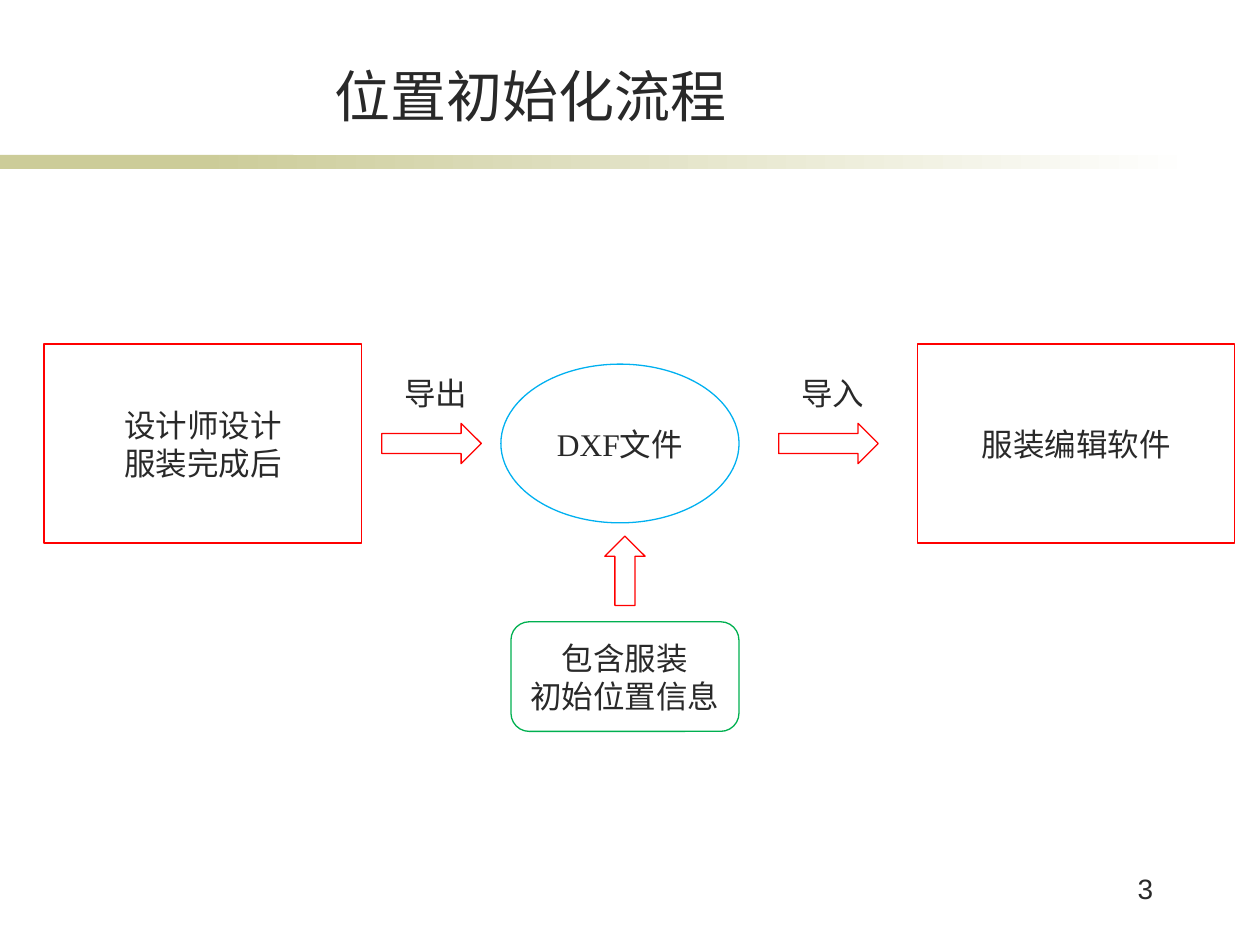
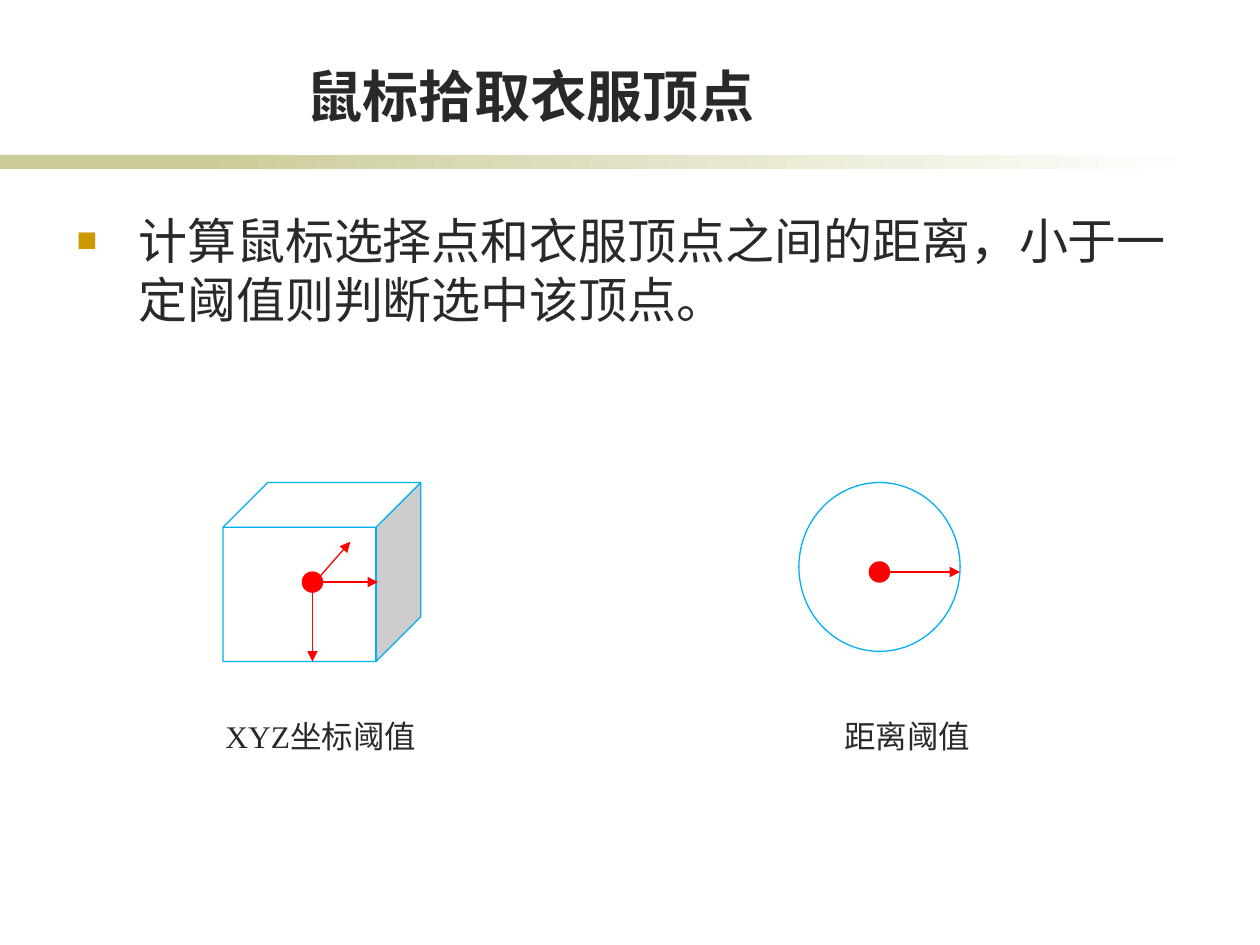
from lxml import etree
from pptx import Presentation
from pptx.dml.color import RGBColor
from pptx.enum.shapes import MSO_CONNECTOR, MSO_SHAPE as Shape
from pptx.enum.text import MSO_ANCHOR as Anchor, PP_ALIGN as Align
from pptx.oxml.ns import qn
from pptx.util import Inches, Pt

WIDTH, HEIGHT = 10, 7.5
INK = RGBColor(0x29, 0x29, 0x29)
WHITE = RGBColor(0xFF, 0xFF, 0xFF)
RED = RGBColor(0xFF, 0x00, 0x00)
BLUE = RGBColor(0x00, 0xB0, 0xF0)
GREEN = RGBColor(0x00, 0xB0, 0x50)
SAGE = RGBColor(0xCC, 0xCC, 0x99)
BULLET_HEX = "CC9900"

TITLE = {"name": "Arial", "size": Pt(32)}
BODY = {"name": "Arial", "size": Pt(28)}
NUMBER = {"name": "Arial", "size": Pt(16)}
LABEL = {"name": "Times New Roman", "size": Pt(18)}

# Flow slide: every step is centred on a point
FLOW_TITLE = "位置初始化流程"
FLOW_Y = 3.52
FLOW_STEPS = [  # lines, outline, centre, size, colour
    (["设计师设计", "服装完成后"], Shape.RECTANGLE, (1.61, FLOW_Y), (2.52, 1.58), RED),
    (["DXF文件"], Shape.OVAL, (4.92, FLOW_Y), (1.89, 1.26), BLUE),
    (["服装编辑软件"], Shape.RECTANGLE, (8.54, FLOW_Y), (2.52, 1.58), RED),
    (["包含服装", "初始位置信息"], Shape.ROUNDED_RECTANGLE, (4.96, 5.37), (1.81, 0.87), GREEN),
]
FLOW_ARROWS = ["导出", "导入"]
ARROW_LEFT, ARROW_PITCH, ARROW_SIZE = 3.03, 3.15, (0.79, 0.32)
UP_ARROW_CENTRE, UP_ARROW_SIZE = (4.96, 4.53), (0.32, 0.55)
PAGE_NUMBER = "3"

# Picking slide: each figure is a body, a picked point and its reach arrows
PICK_TITLE = "鼠标拾取衣服顶点"
PICK_TEXT = "计算鼠标选择点和衣服顶点之间的距离，小于一定阈值则判断选中该顶点。"
FIGURE_TOP, CAPTION_TOP, DOT = 3.83, 5.64, 0.16
FIGURES = [
    {"outline": Shape.CUBE, "left": 1.77, "size": (1.57, 1.42), "dot": (2.48, 4.62),
     "caption": ("XYZ坐标阈值", 1.69),
     "arrows": [((2.56, 4.62), (3, 4.62)), ((2.48, 4.64), (2.48, 5.25)),
                ((2.5, 4.62), (2.78, 4.3))]},
    {"outline": Shape.OVAL, "left": 6.34, "size": (1.28, 1.34), "dot": (6.98, 4.54),
     "caption": ("距离阈值", 6.6),
     "arrows": [((6.98, 4.54), (7.62, 4.54))]},
]


def write(shape, lines, font, align=Align.LEFT, anchor=Anchor.TOP, wrap=True):
    frame = shape.text_frame
    for name, value in {"word_wrap": wrap, "vertical_anchor": anchor}.items():
        setattr(frame, name, value)
    frame.text = "\n".join(lines)
    for para in frame.paragraphs:
        para.alignment = align
        for span in para.runs:
            for name, value in font.items():
                setattr(span.font, name, value)
            span.font.color.rgb = INK
    return frame


def add_text(slide, lines, at, font, **layout):
    box = slide.shapes.add_textbox(*map(Inches, at))
    return write(box, lines, font, **layout)


def add_outline(slide, kind, at, fill=WHITE, line=None):
    shape = slide.shapes.add_shape(kind, *map(Inches, at))
    shape.shadow.inherit = False
    shape.fill.solid()
    shape.fill.fore_color.rgb = fill
    if line is None:
        shape.line.fill.background()
    else:
        shape.line.color.rgb = line
        shape.line.width = Pt(0.75)
    return shape


def around(centre, size):
    return (centre[0] - size[0] / 2, centre[1] - size[1] / 2, *size)


def add_arrow(slide, start, end):
    arrow = slide.shapes.add_connector(
        MSO_CONNECTOR.STRAIGHT, *map(Inches, (*start, *end)))
    arrow.line.color.rgb = RED
    arrow.line.width = Pt(0.75)
    etree.SubElement(arrow.line._get_or_add_ln(), qn("a:tailEnd"), type="triangle")
    etree.SubElement(arrow._element.spPr, qn("a:effectLst"))


def add_bullet(para):
    props = para._p.get_or_add_pPr()
    indent = Inches(0.49)
    props.set("marL", str(indent))
    props.set("indent", str(-indent))
    colour = etree.SubElement(props, qn("a:buClr"))
    etree.SubElement(colour, qn("a:srgbClr"), val=BULLET_HEX)
    etree.SubElement(props, qn("a:buSzPct"), val="70000")
    etree.SubElement(props, qn("a:buFont"), typeface="Arial")
    etree.SubElement(props, qn("a:buChar"), char="■")


def add_page(deck, title, bold=False):
    """Add a slide with the shared fading band and title."""
    slide = deck.slides.add_slide(deck.slide_layouts[6])
    add_outline(slide, Shape.RECTANGLE, (0, 1.23, 2.33, 0.11), SAGE)
    fade = add_outline(slide, Shape.RECTANGLE, (1.58, 1.23, 7.92, 0.11)).fill
    fade.gradient()
    fade.gradient_angle = 0
    for stop, colour, position in zip(fade.gradient_stops, (SAGE, WHITE), (0, 1)):
        stop.color.rgb = colour
        stop.position = position
    add_text(slide, [title], (1.14, 0.44, 6.14, 0.63), {**TITLE, "bold": bold},
             align=Align.CENTER, anchor=Anchor.BOTTOM)
    return slide


def build_flow(deck):
    slide = add_page(deck, FLOW_TITLE)
    for lines, kind, centre, size, colour in FLOW_STEPS:
        step = add_outline(slide, kind, around(centre, size), line=colour)
        write(step, lines, LABEL, align=Align.CENTER, anchor=Anchor.MIDDLE, wrap=False)
    for index, label in enumerate(FLOW_ARROWS):
        left = ARROW_LEFT + index * ARROW_PITCH
        at = (left, FLOW_Y - ARROW_SIZE[1] / 2, *ARROW_SIZE)
        add_outline(slide, Shape.RIGHT_ARROW, at, line=RED)
        add_text(slide, [label], (left + 0.08, 2.92, 0.95, 0.4), LABEL)
    add_outline(slide, Shape.UP_ARROW, around(UP_ARROW_CENTRE, UP_ARROW_SIZE), line=RED)
    add_text(slide, [PAGE_NUMBER], (8.23, 6.87, 1.02, 0.5), NUMBER, align=Align.RIGHT)


def build_picking(deck):
    slide = add_page(deck, PICK_TITLE, bold=True)
    frame = add_text(slide, [PICK_TEXT], (0.51, 1.62, 8.9, 1.2), BODY)
    add_bullet(frame.paragraphs[0])
    for figure in FIGURES:
        at = (figure["left"], FIGURE_TOP, *figure["size"])
        add_outline(slide, figure["outline"], at, line=BLUE)
        add_outline(slide, Shape.OVAL, around(figure["dot"], (DOT, DOT)), RED, RED)
        for start, end in figure["arrows"]:
            add_arrow(slide, start, end)
        caption, left = figure["caption"]
        add_text(slide, [caption], (left, CAPTION_TOP, 2.05, 0.4), LABEL)


def main():
    deck = Presentation()
    deck.slide_width, deck.slide_height = Inches(WIDTH), Inches(HEIGHT)
    build_flow(deck)
    build_picking(deck)
    deck.save("out.pptx")


if __name__ == "__main__":
    main()
